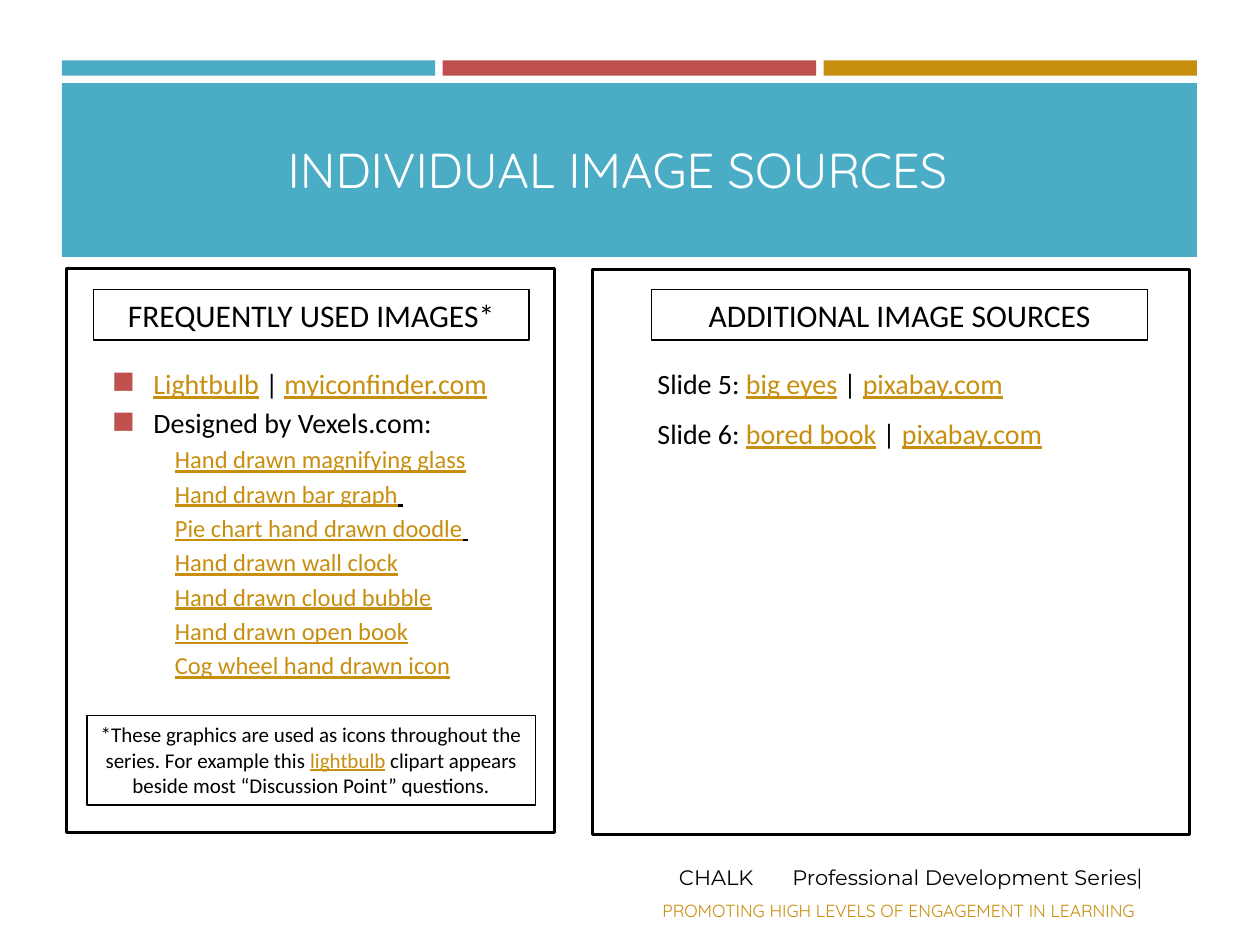
from lxml import etree
from pptx import Presentation
from pptx.dml.color import RGBColor
from pptx.enum import shapes, text
from pptx.oxml import ns
from pptx.util import Inches, Pt

TEAL, RED, GOLD, BLACK, WHITE = "4BACC6", "C0504D", "C88E0E", "000000", "FFFFFF"
LINK = {"color": GOLD, "underline": True}
UNDERLINED = {"underline": True}

# A paragraph is a list of (text, run format) pairs.
TITLE = "INDIVIDUAL IMAGE SOURCES"
FREQUENT_SOURCES = [
    [("Lightbulb", LINK), (" | ", {}), ("myiconfinder.com", LINK)],
    [("Designed by Vexels.com:", {})],
]
DRAWINGS = [
    [("Hand drawn magnifying glass", LINK)],
    [("Hand drawn bar graph", LINK), (" ", UNDERLINED)],
    [("Pie chart hand drawn doodle", LINK), (" ", UNDERLINED)],
    [("Hand drawn wall clock", LINK)],
    [("Hand drawn cloud bubble", LINK)],
    [("Hand drawn open book", LINK)],
    [("Cog wheel hand drawn icon", LINK)],
]
ADDITIONAL_SOURCES = [
    [(f"{place}: ", {}), (name, LINK), (" | ", {}), ("pixabay.com", LINK)]
    for place, name in [("Slide 5", "big eyes"), ("Slide 6", "bored book")]
]
NOTE = [
    ("*These graphics are used as icons throughout the series. For example this ", {}),
    ("lightbulb", LINK),
    (" clipart appears beside most “Discussion Point” questions.", {}),
]
SERIES = [("CHALK\tProfessional Development Series", {}), ("|", {"name": "Quicksand"})]
MOTTO = "PROMOTING HIGH LEVELS OF ENGAGEMENT IN LEARNING"

BAND_LEFT, BAND_WIDTH, BAR_GAP = 0.49, 9.01, 0.06
PANELS = [(0.53, 2.13, 3.87, 4.48), (4.7, 2.14, 4.74, 4.48)]
HEADINGS = [
    ("FREQUENTLY USED IMAGES*", (0.74, 2.3, 3.46, 0.4)),
    ("ADDITIONAL IMAGE SOURCES", (5.17, 2.3, 3.94, 0.4)),
]


def rgb(color):
    return RGBColor.from_string(color)


def add_box(slide, place, fill=None, line=None, line_width=0.75):
    shape = slide.shapes.add_shape(
        shapes.MSO_SHAPE.RECTANGLE, *[Inches(value) for value in place])
    shape.shadow.inherit = False
    if fill:
        shape.fill.solid()
        shape.fill.fore_color.rgb = rgb(fill)
    else:
        shape.fill.background()
    if line:
        shape.line.color.rgb = rgb(line)
        shape.line.width = Pt(line_width)
    else:
        shape.line.fill.background()
    return shape


def add_text_box(slide, place):
    return slide.shapes.add_textbox(*[Inches(value) for value in place])


def add_detail(paragraph, tag, parent=None, **attributes):
    """Append a drawing element to the paragraph properties or to a child of them."""
    if parent is None:
        parent = paragraph._p.get_or_add_pPr()
    return etree.SubElement(parent, ns.qn(tag), attributes)


def add_bullet(paragraph, indent=0.33):
    properties = paragraph._p.get_or_add_pPr()
    properties.set("marL", str(Inches(indent)))
    properties.set("indent", str(-Inches(indent)))
    color = add_detail(paragraph, "a:buClr")
    add_detail(paragraph, "a:srgbClr", color, val=RED)
    add_detail(paragraph, "a:buChar", char="◼")


def write(shape, content, size=16, name="Calibri", color=BLACK, centered=False,
          middle=False, space=0, bullet=False, indent=0, tab=None):
    """Add paragraphs after any that the shape already holds."""
    if isinstance(content, str):
        content = [[(content, {})]]
    frame = shape.text_frame
    frame.word_wrap = True
    frame.vertical_anchor = text.MSO_ANCHOR.MIDDLE if middle else text.MSO_ANCHOR.TOP
    for runs in content:
        first = not frame.text
        paragraph = frame.paragraphs[0] if first else frame.add_paragraph()
        paragraph.alignment = text.PP_ALIGN.CENTER if centered else text.PP_ALIGN.LEFT
        if not first:
            paragraph.space_before = Pt(space)
        if bullet:
            add_bullet(paragraph)
        if indent:
            paragraph._p.get_or_add_pPr().set("marL", str(Inches(indent)))
        if tab:
            stops = add_detail(paragraph, "a:tabLst")
            add_detail(paragraph, "a:tab", stops, pos=str(Inches(tab)), algn="l")
        for words, style in runs:
            run = paragraph.add_run()
            run.text = words
            run.font.size = Pt(size)
            run.font.name = style.get("name", name)
            run.font.color.rgb = rgb(style.get("color", color))
            run.font.underline = style.get("underline", False)


def main():
    presentation = Presentation()
    presentation.slide_width, presentation.slide_height = Inches(10), Inches(7.5)
    slide = presentation.slides.add_slide(presentation.slide_layouts[6])

    bar_colors = [TEAL, RED, GOLD]
    bar_width = (BAND_WIDTH - 2 * BAR_GAP) / len(bar_colors)
    for index, color in enumerate(bar_colors):
        left = BAND_LEFT + index * (bar_width + BAR_GAP)
        add_box(slide, (left, 0.48, bar_width, 0.12), fill=color)
    add_box(slide, (BAND_LEFT, 0.66, BAND_WIDTH, 1.38), fill=TEAL)
    write(add_text_box(slide, (0.53, 0.75, 8.74, 1.18)), TITLE, size=28,
          name="Quicksand", color=WHITE, centered=True, middle=True)

    for place in PANELS:
        add_box(slide, place, line=BLACK, line_width=1.75)
    for heading, place in HEADINGS:
        write(add_box(slide, place, fill=WHITE, line=BLACK), heading, size=18,
              centered=True, middle=True)

    frequent = add_text_box(slide, (0.79, 2.86, 3.36, 2.75))
    write(frequent, FREQUENT_SOURCES, space=3.2, bullet=True)
    write(frequent, DRAWINGS, size=14, space=2.8, indent=0.5)
    write(add_text_box(slide, (5.12, 2.86, 4.2, 3.21)), ADDITIONAL_SOURCES, space=9.2)
    write(add_box(slide, (0.69, 5.68, 3.56, 0.71), fill=WHITE, line=BLACK), [NOTE],
          size=12, centered=True)

    write(add_text_box(slide, (5.29, 6.78, 4.29, 0.37)), [SERIES], size=12,
          name="Montserrat", middle=True, tab=0.9)
    write(add_text_box(slide, (5.09, 7.09, 4.08, 0.27)), MOTTO, size=10,
          name="Quicksand", color=GOLD, centered=True)
    presentation.save("out.pptx")


if __name__ == "__main__":
    main()
